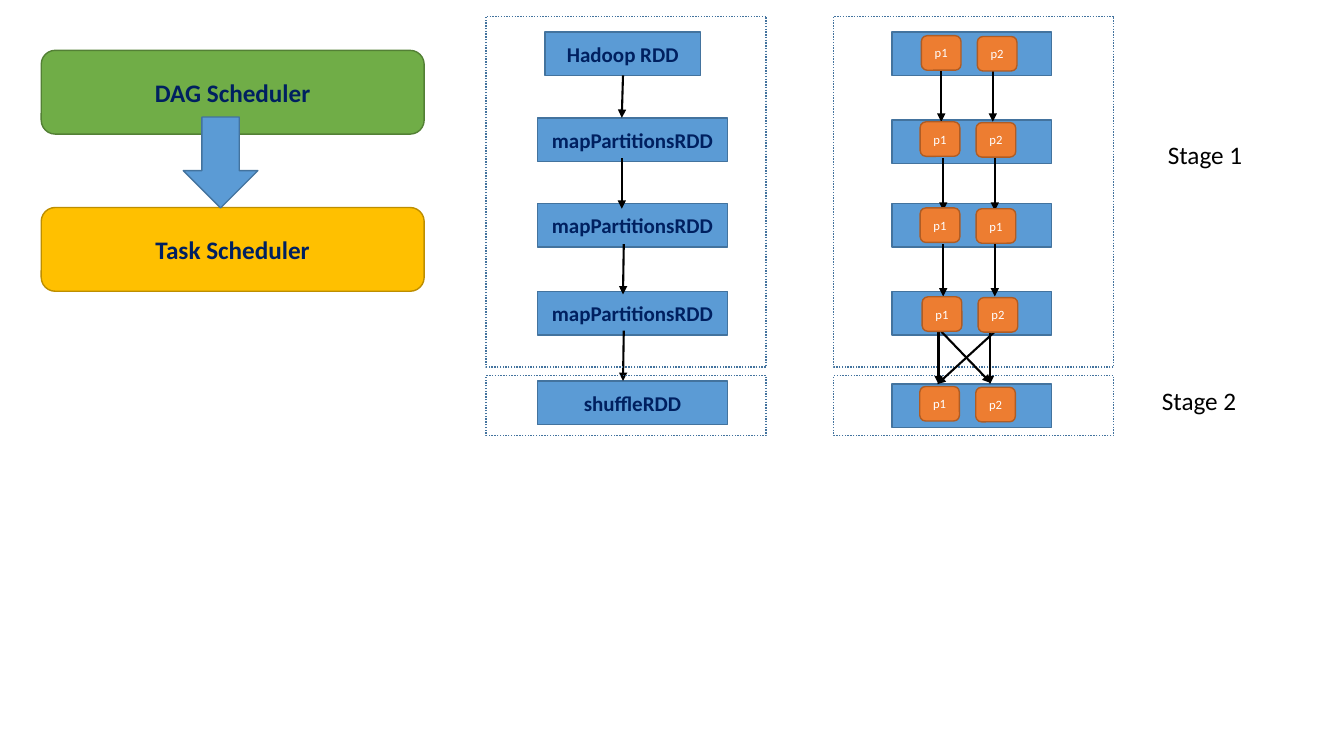
"""Build the slide that shows how RDD lineage is split into stages and partitions."""
from dataclasses import dataclass
from typing import Optional

from lxml.etree import SubElement
from pptx import Presentation
from pptx.dml.color import RGBColor
from pptx.enum.dml import MSO_LINE_DASH_STYLE as Dash
from pptx.enum.shapes import MSO_CONNECTOR as Connector, MSO_SHAPE as Preset
from pptx.enum.text import MSO_ANCHOR as Anchor, PP_ALIGN as Align
from pptx.oxml.ns import qn
from pptx.slide import Slide
from pptx.text.text import TextFrame
from pptx.util import Cm, Pt


@dataclass(frozen=True)
class Theme:
    font: str = "Calibri"
    blue: str = "5B9BD5"
    blue_line: str = "43739E"
    green: str = "70AD47"
    green_line: str = "538035"
    gold: str = "FFC000"
    gold_line: str = "BD8E00"
    orange: str = "ED7D31"
    orange_line: str = "AF5C24"
    navy: str = "002060"
    white: str = "FFFFFF"
    black: str = "000000"
    heading: float = 18
    rdd: float = 15
    partition: float = 9
    outline: float = 1
    arrow: float = 1.5


THEME = Theme()


@dataclass(frozen=True)
class Label:
    text: str
    size: float
    color: str
    bold: bool = False


@dataclass(frozen=True)
class Box:
    left: float
    top: float
    width: float
    height: float
    fill: Optional[str] = THEME.blue
    line: str = THEME.blue_line
    preset: Preset = Preset.RECTANGLE
    label: Optional[Label] = None


@dataclass(frozen=True)
class Arrow:
    x1: float
    y1: float
    x2: float
    y2: float


@dataclass(frozen=True)
class RddRow:
    name: str
    top: float
    left: float = 13.54
    width: float = 4.8


@dataclass(frozen=True)
class PartitionRow:
    top: float
    left: float
    partition_top: float
    names: tuple[str, str] = ("p1", "p2")


@dataclass(frozen=True)
class ArrowPair:
    x: float
    start: float
    end: float


RDD_HEIGHT = 1.1
PARTITION_STEP = 1.41
ARROW_STEP = 1.3

RDD_ROWS = [
    RddRow("Hadoop RDD", 0.81, 13.74, 3.91),
    RddRow("mapPartitionsRDD", 2.97),
    RddRow("mapPartitionsRDD", 5.13),
    RddRow("mapPartitionsRDD", 7.34),
    RddRow("shuffleRDD", 9.6),
]
LINEAGE_ARROWS = [
    Arrow(15.7, 1.9, 15.67, 2.97),
    Arrow(15.67, 3.99, 15.67, 5.26),
    Arrow(15.72, 6.15, 15.7, 7.42),
    Arrow(15.72, 8.33, 15.7, 9.6),
]
PARTITION_ROWS = [
    PartitionRow(0.81, 23.22, 0.9),
    PartitionRow(3.02, 23.19, 3.07),
    PartitionRow(5.13, 23.19, 5.24, ("p1", "p1")),
    PartitionRow(7.34, 23.24, 7.48),
    PartitionRow(9.68, 23.18, 9.74),
]
ARROW_PAIRS = [
    ArrowPair(23.72, 1.78, 3.07),
    ArrowPair(23.77, 3.99, 5.31),
    ArrowPair(23.77, 6.15, 7.47),
    ArrowPair(23.65, 8.33, 9.68),
]
SHUFFLE_ARROWS = [Arrow(23.65, 8.28, 24.97, 9.65), Arrow(25.1, 8.33, 23.62, 9.68)]


def write_label(frame: TextFrame, label: Label, align: Align) -> None:
    """Write a label as a single run."""
    frame.word_wrap = True
    paragraph = frame.paragraphs[0]
    paragraph.alignment = align
    run = paragraph.add_run()
    run.text = label.text
    run.font.name = THEME.font
    run.font.size = Pt(label.size)
    run.font.bold = label.bold
    run.font.color.rgb = RGBColor.from_string(label.color)


def draw_box(slide: Slide, box: Box) -> None:
    """Draw a filled box, or a dotted frame when it has no fill."""
    shape = slide.shapes.add_shape(
        box.preset, Cm(box.left), Cm(box.top), Cm(box.width), Cm(box.height)
    )
    shape.shadow.inherit = False
    shape.line.color.rgb = RGBColor.from_string(box.line)
    shape.line.width = Pt(THEME.outline)
    if box.fill:
        shape.fill.solid()
        shape.fill.fore_color.rgb = RGBColor.from_string(box.fill)
    else:
        shape.fill.background()
        shape.line.dash_style = Dash.ROUND_DOT
    if box.label:
        shape.text_frame.vertical_anchor = Anchor.MIDDLE
        write_label(shape.text_frame, box.label, Align.CENTER)


def draw_arrow(slide: Slide, arrow: Arrow) -> None:
    """Draw a straight line with a triangle at its end."""
    connector = slide.shapes.add_connector(
        Connector.STRAIGHT, Cm(arrow.x1), Cm(arrow.y1), Cm(arrow.x2), Cm(arrow.y2)
    )
    connector.line.color.rgb = RGBColor.from_string(THEME.black)
    connector.line.width = Pt(THEME.arrow)
    SubElement(connector.line._get_or_add_ln(), qn("a:tailEnd"), type="triangle")
    SubElement(connector._element.spPr, qn("a:effectLst"))


def draw_stage_frames(slide: Slide, left: float) -> None:
    """Draw the dotted frames of both stages."""
    draw_box(slide, Box(left, 0.41, 7.06, 8.84, fill=None))
    draw_box(slide, Box(left, 9.47, 7.06, 1.5, fill=None))


def draw_schedulers(slide: Slide) -> None:
    """Draw the two schedulers and the block arrow between them."""
    for name, top, fill, line in (
        ("DAG Scheduler", 1.27, THEME.green, THEME.green_line),
        ("Task Scheduler", 5.23, THEME.gold, THEME.gold_line),
    ):
        label = Label(name, THEME.heading, THEME.navy, bold=True)
        draw_box(slide, Box(1.04, top, 9.65, 2.11, fill, line, Preset.ROUNDED_RECTANGLE, label))
    draw_box(slide, Box(4.62, 2.95, 1.88, 2.29, preset=Preset.DOWN_ARROW))


def draw_lineage(slide: Slide) -> None:
    """Draw the chain of RDDs."""
    for row in RDD_ROWS:
        label = Label(row.name, THEME.rdd, THEME.navy, bold=True)
        draw_box(slide, Box(row.left, row.top, row.width, RDD_HEIGHT, label=label))
    for arrow in LINEAGE_ARROWS:
        draw_arrow(slide, arrow)
    draw_stage_frames(slide, 12.25)


def draw_partitions(slide: Slide) -> None:
    """Draw the partitions of every RDD and the flow between them."""
    draw_stage_frames(slide, 21.01)
    for row in PARTITION_ROWS:
        draw_box(slide, Box(22.48, row.top, 4.02, RDD_HEIGHT))
    for pair in ARROW_PAIRS:
        for x in (pair.x, pair.x + ARROW_STEP):
            draw_arrow(slide, Arrow(x, pair.start, x, pair.end))
    for arrow in SHUFFLE_ARROWS:
        draw_arrow(slide, arrow)
    for row in PARTITION_ROWS:
        for column, name in enumerate(row.names):
            draw_box(slide, Box(
                row.left + column * PARTITION_STEP, row.partition_top + column * 0.02, 1, 0.87,
                THEME.orange, THEME.orange_line, Preset.ROUNDED_RECTANGLE,
                Label(name, THEME.partition, THEME.white),
            ))


def draw_stage_names(slide: Slide) -> None:
    """Write the stage names beside the frames."""
    for name, left, top in (("Stage 1", 29.18, 3.38), ("Stage 2", 29.03, 9.58)):
        text_box = slide.shapes.add_textbox(Cm(left), Cm(top), Cm(3.05), Cm(1.02))
        write_label(text_box.text_frame, Label(name, THEME.heading, THEME.black), Align.LEFT)


def main() -> None:
    """Build and save the presentation."""
    presentation = Presentation()
    presentation.slide_width, presentation.slide_height = Cm(33.87), Cm(19.05)
    slide = presentation.slides.add_slide(presentation.slide_layouts[6])
    draw_lineage(slide)
    draw_schedulers(slide)
    draw_partitions(slide)
    draw_stage_names(slide)
    presentation.save("out.pptx")


if __name__ == "__main__":
    main()
